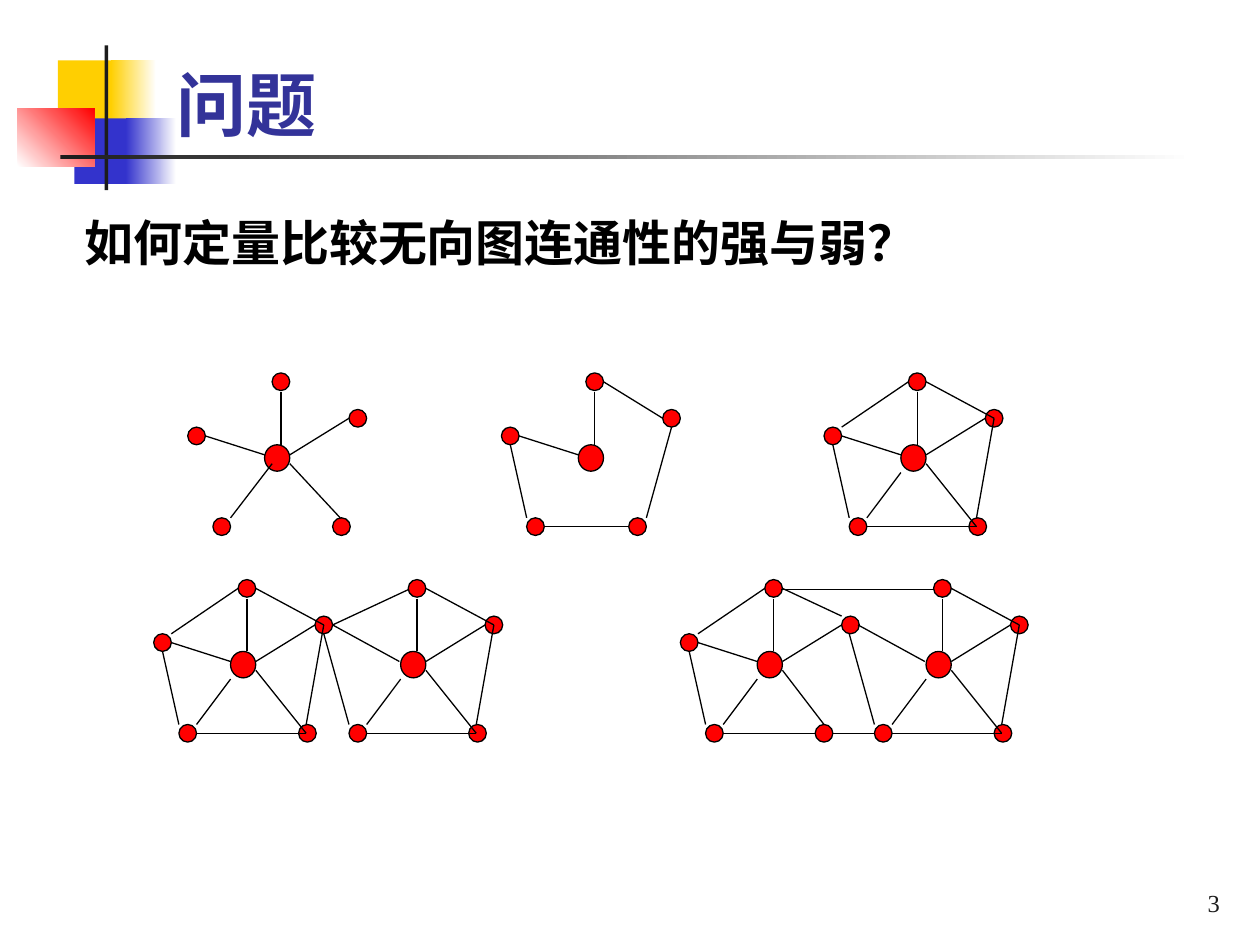
"""Build a slide asking how to compare the connectivity of undirected graphs."""
from dataclasses import dataclass

from lxml.etree import SubElement
from pptx import Presentation
from pptx.dml.color import RGBColor
from pptx.enum.shapes import MSO_CONNECTOR, MSO_SHAPE
from pptx.enum.text import MSO_ANCHOR, PP_ALIGN
from pptx.oxml.ns import qn
from pptx.util import Inches, Pt


@dataclass(frozen=True)
class Theme:
    yellow: str = "FFCF01"
    blue: str = "3333CC"
    red: str = "FF0000"
    white: str = "FFFFFF"
    black: str = "000000"
    charcoal: str = "1C1C1C"
    title_color: str = "333399"
    heading_font: str = "Noto Sans CJK SC"
    number_font: str = "Times New Roman"
    title_size: int = 40
    question_size: int = 28
    number_size: int = 14
    question_leading: float = 38.5
    edge_width: float = 0.75


theme = Theme()
prs = Presentation()
prs.slide_width, prs.slide_height = Inches(10), Inches(7.5)
slide = prs.slides.add_slide(prs.slide_layouts[6])


def add_filled(preset, box, colors, angle=0):
    shape = slide.shapes.add_shape(preset, *map(Inches, box))
    shape.shadow.inherit = False
    shape.line.fill.background()
    if len(colors) == 1:
        shape.fill.solid()
        shape.fill.fore_color.rgb = RGBColor.from_string(colors[0])
    else:
        shape.fill.gradient()
        shape.fill.gradient_angle = angle
        for stop, color in zip(shape.fill.gradient_stops, colors):
            stop.color.rgb = RGBColor.from_string(color)
    return shape


def add_text(box, text, size, font, color, bold=False):
    frame = slide.shapes.add_textbox(*map(Inches, box)).text_frame
    frame.word_wrap = True
    frame.text = text
    run = frame.paragraphs[0].runs[0]
    run.font.size, run.font.bold, run.font.name = Pt(size), bold, font
    run.font.color.rgb = RGBColor.from_string(color)
    SubElement(run.font._element, qn("a:ea")).set("typeface", font)
    return frame


ornaments = [
    ((0.46, 0.48, 0.48, 0.52), [theme.yellow], 0),
    ((0.88, 0.48, 0.36, 0.52), [theme.yellow, theme.white], 0),
    ((0.59, 0.94, 0.46, 0.52), [theme.blue], 0),
    ((1, 0.94, 0.4, 0.52), [theme.blue, theme.white], 0),
    ((0.14, 0.86, 0.61, 0.46), [theme.white, theme.red], 45),
    ((0.83, 0.36, 0.03, 1.15), [theme.charcoal], 0),
    ((0.48, 1.23, 9, 0.03), [theme.charcoal, theme.white], 0),
]
for box, colors, angle in ornaments:
    add_filled(MSO_SHAPE.RECTANGLE, box, colors, angle)

add_text((1.3, 0.44, 2.68, 0.77), "问题", theme.title_size,
         theme.heading_font, theme.title_color, True)
question = add_text((0.67, 1.62, 9.25, 0.53), "如何定量比较无向图连通性的强与弱？",
                    theme.question_size, theme.heading_font, theme.black, True)
question.margin_left = question.margin_right = 0
question.margin_top = question.margin_bottom = 0
question.paragraphs[0].line_spacing = Pt(theme.question_leading)

nodes = {
    "top": (0, 0, 0.14, 0.14),
    "right": (0.61, 0.29, 0.14, 0.14),
    "left": (-0.67, 0.43, 0.14, 0.14),
    "hub": (-0.06, 0.57, 0.2, 0.21),
    "low left": (-0.47, 1.15, 0.14, 0.14),
    "low right": (0.48, 1.15, 0.14, 0.14),
}
spokes = {
    "hub-top": (0.07, 0.15, 0.07, 0.57),
    "hub-right": (0.14, 0.65, 0.61, 0.36),
    "hub-low right": (0.14, 0.72, 0.54, 1.22),
    "hub-low left": (-0.06, 0.79, -0.33, 1.15),
    "hub-left": (-0.53, 0.5, -0.06, 0.65),
}
rim = {
    "left-top": (-0.53, 0.43, 0, 0.07),
    "top-right": (0.14, 0.07, 0.68, 0.36),
    "right-low right": (0.68, 0.36, 0.54, 1.15),
    "bottom": (-0.33, 1.22, 0.54, 1.22),
    "left-low left": (-0.6, 0.57, -0.47, 1.15),
}
wheel = spokes | rim
star = spokes | {
    "hub-low right": (0.14, 0.72, 0.54, 1.15),
    "hub-low left": (0, 0.72, -0.33, 1.15),
}
ring = {name: wheel[name] for name in ("hub-left", "hub-top", "left-low left")} | {
    "top-right": (0.14, 0.07, 0.61, 0.36),
    "right-low right": (0.68, 0.43, 0.48, 1.15),
    "bottom": (-0.33, 1.22, 0.34, 1.22),
}
sharing_wheel = wheel | {
    "hub-left": (-0.6, 0.36, -0.07, 0.65),
    "left-top": (-0.6, 0.36, 0, 0.08),
    "left-low left": (-0.67, 0.43, -0.47, 1.15),
}
open_wheel = wheel | {
    "hub-low right": (0.14, 0.72, 0.47, 1.15),
    "top-right": (0.14, 0.07, 0.61, 0.29),
    "bottom": (-0.33, 1.22, 0.4, 1.22),
}
del open_wheel["right-low right"]
bridged_wheel = sharing_wheel | {
    "left-top": (-1.21, 0.08, 0, 0.08),
    "low bridge": (-0.8, 1.22, -0.47, 1.22),
}
shared_nodes = {name: box for name, box in nodes.items() if name != "left"}

graphs = [
    (2.16, 2.96, nodes, star),
    (4.65, 2.96, nodes | {"low right": (0.34, 1.15, 0.14, 0.14)}, ring),
    (7.21, 2.96, nodes, wheel),
    (1.89, 4.6, nodes, wheel),
    (3.24, 4.6, shared_nodes, sharing_wheel),
    (6.07, 4.6, nodes | {"low right": (0.4, 1.15, 0.14, 0.14)}, open_wheel),
    (7.41, 4.6, shared_nodes, bridged_wheel),
]
for x, y, graph_nodes, graph_edges in graphs:
    for left, top, width, height in graph_nodes.values():
        node = add_filled(MSO_SHAPE.OVAL, (x + left, y + top, width, height), [theme.red])
        node.line.color.rgb = RGBColor.from_string(theme.black)
        node.line.width = Pt(theme.edge_width)
    for x1, y1, x2, y2 in graph_edges.values():
        edge = slide.shapes.add_connector(
            MSO_CONNECTOR.STRAIGHT, Inches(x + x1), Inches(y + y1), Inches(x + x2), Inches(y + y2))
        edge.line.color.rgb = RGBColor.from_string(theme.black)
        edge.line.width = Pt(theme.edge_width)
        SubElement(edge._element.spPr, qn("a:effectLst"))

page_number = add_text((7.7, 6.83, 2.08, 0.5), "3", theme.number_size,
                       theme.number_font, theme.charcoal)
page_number.vertical_anchor = MSO_ANCHOR.BOTTOM
page_number.paragraphs[0].alignment = PP_ALIGN.RIGHT

prs.save("out.pptx")
